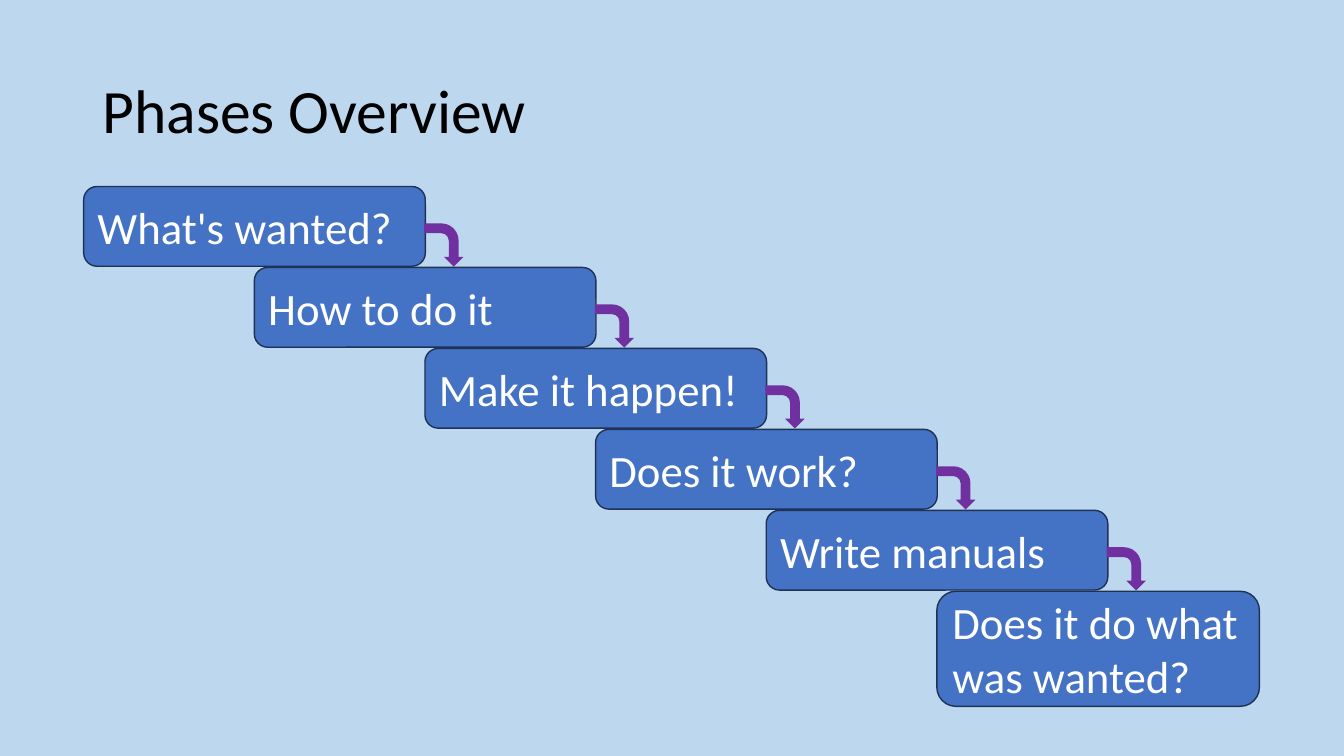
from pptx import Presentation
from pptx.dml.color import RGBColor
from pptx.enum.shapes import MSO_SHAPE
from pptx.enum.text import MSO_ANCHOR, MSO_AUTO_SIZE, PP_ALIGN
from pptx.util import Cm, Pt

ROUND = MSO_SHAPE.ROUNDED_RECTANGLE
BENT = MSO_SHAPE.BENT_ARROW
MIDDLE = MSO_ANCHOR.MIDDLE
LEFT = PP_ALIGN.LEFT
FIXED = MSO_AUTO_SIZE.NONE

SKY = RGBColor(0xBD, 0xD7, 0xEE)
BLUE = RGBColor(0x44, 0x72, 0xC4)
NAVY = RGBColor(0x1E, 0x32, 0x56)
PURPLE = RGBColor(0x70, 0x30, 0xA0)
BLACK = RGBColor(0, 0, 0)
WHITE = RGBColor(0xFF, 0xFF, 0xFF)

PHASES = [
    "What's wanted?",
    "How to do it",
    "Make it happen!",
    "Does it work?",
    "Write manuals",
    "Does it do what was wanted?",
]


def write(shape, text, size, color):
    frame = shape.text_frame
    frame.text = text
    frame.word_wrap = True
    frame.auto_size = FIXED
    frame.vertical_anchor = MIDDLE
    line = frame.paragraphs[0]
    line.alignment = LEFT
    font = line.runs[0].font
    font.name = "Calibri"
    font.size = Pt(size)
    font.color.rgb = color
    return line


def add_title(slide, left, top, width, height):
    title = slide.shapes.title
    title.left, title.top = left, top
    title.width, title.height = width, height
    write(title, "Phases Overview", 44, BLACK).line_spacing = 0.9


def add_solid(slide, kind, left, top, width, height, color):
    shape = slide.shapes.add_shape(kind, left, top, width, height)
    shape.shadow.inherit = False
    shape.fill.solid()
    shape.fill.fore_color.rgb = color
    return shape


def add_phase(slide, text, left, top, width, height):
    box = add_solid(slide, ROUND, left, top, width, height, BLUE)
    box.line.color.rgb = NAVY
    box.line.width = Pt(1)
    write(box, text, 32, WHITE)


def add_arrow(slide, left, top):
    arrow = add_solid(slide, BENT, left, top, Cm(1.09), Cm(0.99), PURPLE)
    arrow.line.fill.background()
    arrow.rotation = 90


def add_stairs(slide, left, top, width, height):
    wide, high = Cm(8.61), Cm(2.01)
    across, down = Cm(4.3), Cm(2.04)
    last = len(PHASES) - 1
    for step, text in enumerate(PHASES):
        x, y = left + step * across, top + step * down
        if step < last:
            add_phase(slide, text, x, y, wide, high)
            add_arrow(slide, x + wide - Cm(0.08), y + Cm(0.98))
        else:
            add_phase(slide, text, x, y, left + width - x, top + height - y)


def main():
    deck = Presentation()
    deck.slide_width, deck.slide_height = Cm(33.87), Cm(19.05)
    slide = deck.slides.add_slide(deck.slide_layouts[5])
    slide.background.fill.solid()
    slide.background.fill.fore_color.rgb = SKY
    add_title(slide, Cm(2.33), Cm(1.01), Cm(29.21), Cm(3.68))
    add_stairs(slide, Cm(2.11), Cm(4.7), Cm(29.63), Cm(13.1))
    deck.save("out.pptx")


if __name__ == "__main__":
    main()
